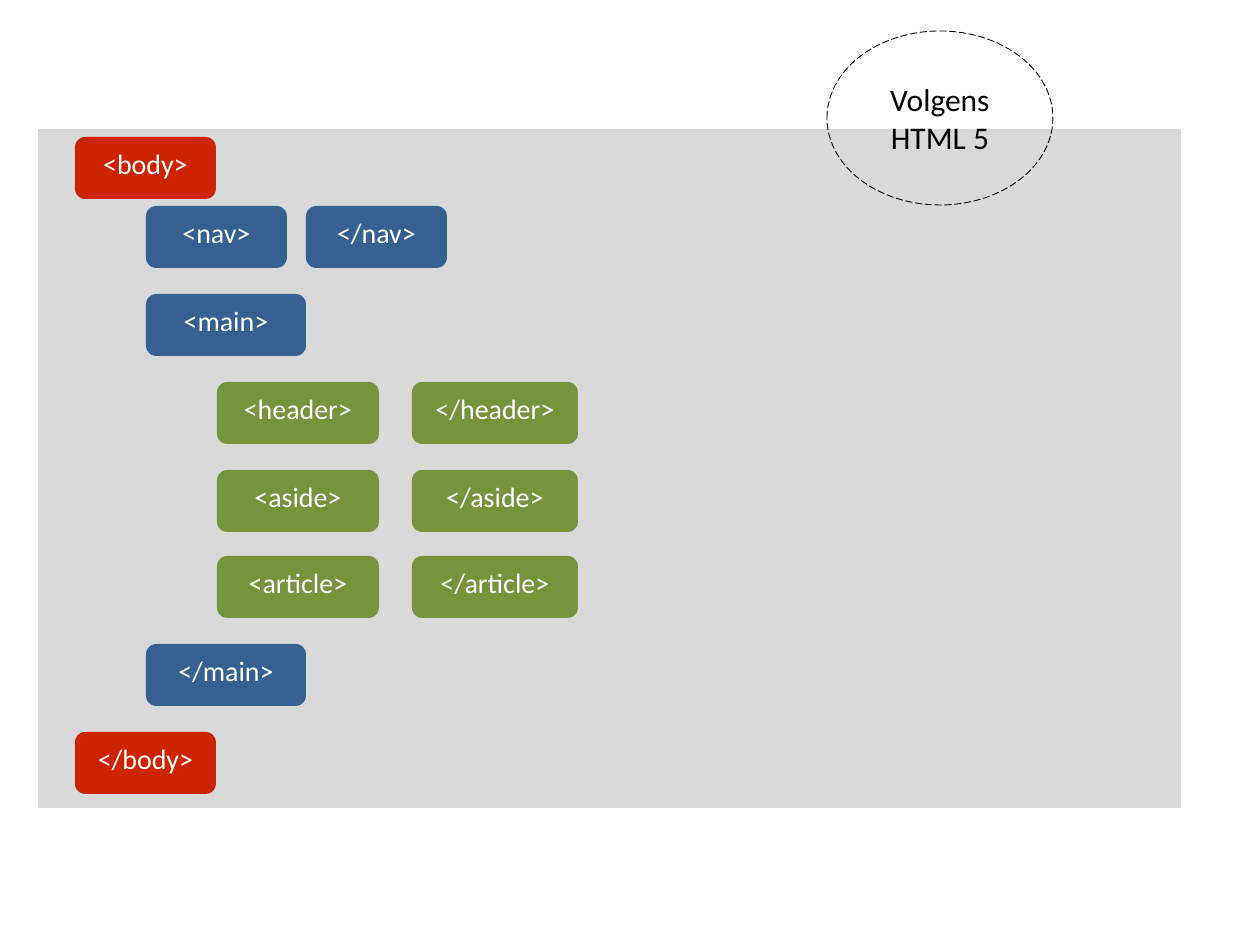
import pptx
import pptx.util
import pptx.dml.color
import pptx.enum.dml
import pptx.enum.shapes
import pptx.enum.text

SHAPE = pptx.enum.shapes.MSO_SHAPE
ANCHOR = pptx.enum.text.MSO_ANCHOR
RED, BLUE, GREEN, GRAY = "CD2400", "376092", "77933C", "D9D9D9"
TAG_HEIGHT = 62


def px(n):
    return round(n * 914400 / 126)


def color(value):
    return pptx.dml.color.RGBColor.from_string(value)


class Deck:
    font = "Calibri"

    def __init__(self, width, height):
        self.prs = pptx.Presentation()
        self.prs.slide_width, self.prs.slide_height = px(width), px(height)
        self.s = self.prs.slides.add_slide(self.prs.slide_layouts[6])

    def shape(self, kind, box, fill=None):
        sp = self.s.shapes.add_shape(kind, *map(px, box))
        sp.shadow.inherit = False
        sp.line.fill.background()
        if fill:
            sp.fill.solid()
            sp.fill.fore_color.rgb = color(fill)
        else:
            sp.fill.background()
        return sp

    def text(self, sp, text, size, ink, anchor):
        tf = sp.text_frame
        for name, value in {"word_wrap": True, "vertical_anchor": anchor}.items():
            setattr(tf, name, value)
        p = tf.paragraphs[0]
        p.alignment = pptx.enum.text.PP_ALIGN.CENTER
        r = p.add_run()
        r.text = text
        for name, value in {"name": self.font, "size": pptx.util.Pt(size)}.items():
            setattr(r.font, name, value)
        r.font.color.rgb = color(ink)

    def panel(self, box):
        self.shape(SHAPE.RECTANGLE, box, GRAY)

    def tag(self, text, left, top, width, fill):
        sp = self.shape(SHAPE.ROUNDED_RECTANGLE, (left, top, width, TAG_HEIGHT), fill)
        self.text(sp, text, 16, "FFFFFF", ANCHOR.TOP)

    def bubble(self, text, box):
        sp = self.shape(SHAPE.OVAL, box)
        line = {"width": pptx.util.Pt(0.5),
                "dash_style": pptx.enum.dml.MSO_LINE.LONG_DASH}
        for name, value in line.items():
            setattr(sp.line, name, value)
        sp.line.color.rgb = color("000000")
        self.text(sp, text, 18, "000000", ANCHOR.MIDDLE)


def main():
    deck = Deck(1260, 945)
    deck.panel((38, 129, 1143, 679))

    body, section, part, closing = 75, 146, 217, 412
    tags = [
        ("<body>", body, 137, 141, RED),
        ("</body>", body, 732, 141, RED),
        ("<nav>", section, 206, 141, BLUE),
        ("</nav>", 306, 206, 141, BLUE),
        ("<main>", section, 294, 160, BLUE),
        ("</main>", section, 644, 160, BLUE),
    ]
    for name, top in (("header", 382), ("aside", 470), ("article", 556)):
        tags.append((f"<{name}>", part, top, 162, GREEN))
        tags.append((f"</{name}>", closing, top, 166, GREEN))
    for tag in tags:
        deck.tag(*tag)

    deck.bubble("Volgens HTML 5", (827, 31, 226, 174))
    deck.prs.save("out.pptx")


if __name__ == "__main__":
    main()
